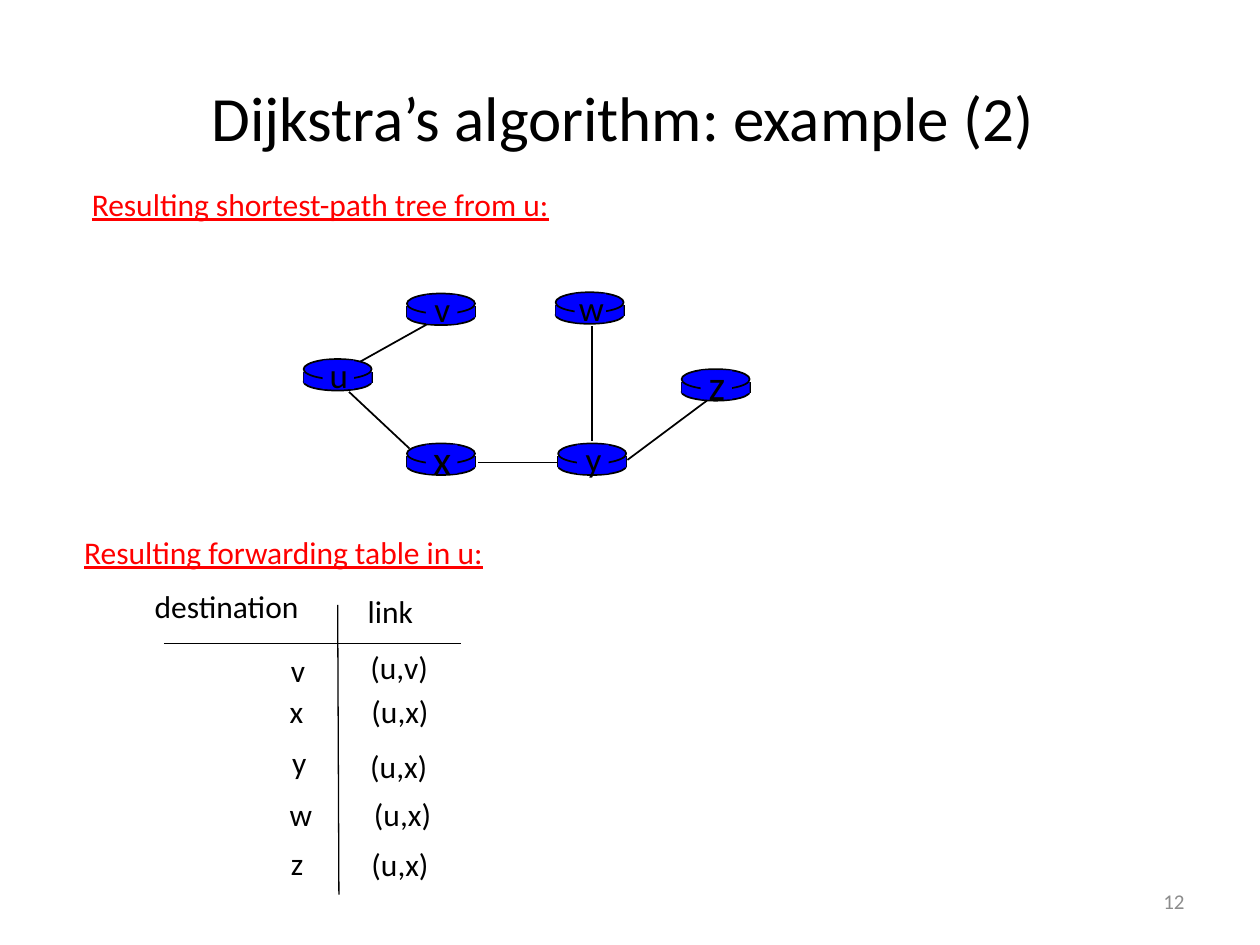
from lxml.etree import SubElement
from pptx import Presentation
from pptx.dml.color import RGBColor
from pptx.enum.shapes import MSO_CONNECTOR as Connector, MSO_SHAPE as Shape
from pptx.enum.text import MSO_ANCHOR as Anchor, MSO_AUTO_SIZE as AutoSize, PP_ALIGN as Align
from pptx.oxml.ns import qn
from pptx.util import Inches, Pt

COLORS = {"text": "000000", "heading": "FF0000", "router": "0000FF", "number": "8C8C8C"}
FONT = "Calibri"
ROUTER_WIDTH = 0.54
LABEL_HEIGHTS = {20: 0.43, 24: 0.5}

EDGES = [
    (2.86, 2.87, 3.45, 2.54),
    (4.7, 2.59, 4.7, 3.5),
    (4.98, 3.65, 5.61, 3.18),
    (4.43, 3.67, 3.79, 3.67),
    (3.25, 3.56, 2.77, 3.11),
]
ROUTERS = [
    ("u", 2.41, 2.95, 0.35, 20),
    ("x", 3.23, 3.62, 0.4, 24),
    ("v", 3.23, 2.43, 0.34, 20),
    ("w", 4.41, 2.42, 0.39, 20),
    ("y", 4.43, 3.62, 0.35, 20),
    ("z", 5.41, 3.03, 0.38, 24),
]
TABLE_LINES = [(2.68, 4.8, 2.69, 7.1), (1.3, 5.11, 3.66, 5.11)]
TABLE_CELLS = [
    ("destination", 1.13, 4.61, 1.5), ("link", 2.82, 4.65, 0.6),
    ("v", 2.21, 5.12, 0.32), ("(u,v)", 2.84, 5.09, 0.71),
    ("x", 2.2, 5.44, 0.35), ("(u,x)", 2.85, 5.44, 0.73),
    ("y", 2.22, 5.85, 0.33), ("(u,x)", 2.84, 5.88, 0.73),
    ("w", 2.2, 6.26, 0.37), ("(u,x)", 2.87, 6.26, 0.73),
    ("z", 2.21, 6.65, 0.34), ("(u,x)", 2.85, 6.66, 0.73),
]
HEADINGS = [
    ("Resulting shortest-path tree from u:", 0.63, 1.42, 4.49),
    ("Resulting forwarding table in u:", 0.57, 4.18, 3.84),
]


def color(name):
    """Return the named colour."""
    return RGBColor.from_string(COLORS[name])


def set_text(shape, text, size, color_name, align, underline=None):
    """Put one formatted line of text in a shape."""
    shape.text_frame.text = text
    paragraph = shape.text_frame.paragraphs[0]
    paragraph.alignment = align
    font = paragraph.runs[0].font
    font.name, font.size, font.underline = FONT, Pt(size), underline
    font.color.rgb = color(color_name)


def add_text(slide, text, left, top, width, height=0.4, size=18,
             color_name="text", align=Align.LEFT, underline=None):
    """Add an unwrapped text box that fits its text."""
    box = slide.shapes.add_textbox(*map(Inches, (left, top, width, height)))
    box.text_frame.word_wrap = False
    box.text_frame.auto_size = AutoSize.SHAPE_TO_FIT_TEXT
    set_text(box, text, size, color_name, align, underline)
    return box


def add_line(slide, points, width=1):
    """Add a black straight line without shadow."""
    line = slide.shapes.add_connector(Connector.STRAIGHT, *map(Inches, points))
    line.line.color.rgb = color("text")
    line.line.width = Pt(width)
    SubElement(line._element.spPr, qn("a:effectLst"))


def add_solid(slide, kind, left, top, width, height, outlined=False):
    """Add a router part, outlined in black if asked."""
    shape = slide.shapes.add_shape(kind, *map(Inches, (left, top, width, height)))
    shape.shadow.inherit = False
    shape.fill.solid()
    shape.fill.fore_color.rgb = color("router")
    if outlined:
        shape.line.color.rgb = color("text")
        shape.line.width = Pt(1)
    else:
        shape.line.fill.background()


def add_router(slide, left, top):
    """Add a router as a flat cylinder."""
    add_solid(slide, Shape.OVAL, left, top + 0.01, ROUTER_WIDTH, 0.14, outlined=True)
    for side in (left, left + ROUTER_WIDTH):
        add_line(slide, (side, top, side, top + 0.09))
    add_solid(slide, Shape.RECTANGLE, left, top, ROUTER_WIDTH, 0.09)
    add_solid(slide, Shape.OVAL, left, top - 0.1, ROUTER_WIDTH, 0.16, outlined=True)


def add_router_label(slide, name, left, top, width, size):
    """Add the name of a router on a plain patch."""
    height = LABEL_HEIGHTS[size]
    add_solid(slide, Shape.RECTANGLE, left + 0.15, top - 0.09, 0.25, 0.23)
    add_text(slide, name, left + 0.28 - width / 2, top + 0.02 - height / 2,
             width, height, size, align=Align.CENTER)


def add_title(slide, text):
    """Place and format the title."""
    title = slide.shapes.title
    title.left, title.top, title.width, title.height = map(Inches, (0.5, 0.3, 9, 1.25))
    title.text_frame.vertical_anchor = Anchor.MIDDLE
    set_text(title, text, 36, "text", Align.CENTER)


def add_slide_number(slide, number):
    """Add the slide number at the bottom right."""
    box = add_text(slide, number, 7.17, 6.95, 2.33, size=12,
                   color_name="number", align=Align.RIGHT)
    box.text_frame.word_wrap = True
    box.text_frame.auto_size = AutoSize.NONE
    box.text_frame.vertical_anchor = Anchor.MIDDLE


def main():
    """Build the slide and save it."""
    presentation = Presentation()
    presentation.slide_width, presentation.slide_height = Inches(10), Inches(7.5)
    slide = presentation.slides.add_slide(presentation.slide_layouts[5])
    add_title(slide, "Dijkstra’s algorithm: example (2) ")
    add_slide_number(slide, "12")
    for edge in EDGES:
        add_line(slide, edge)
    for name, left, top, width, size in ROUTERS:
        add_router(slide, left, top)
        add_router_label(slide, name, left, top, width, size)
    for points in TABLE_LINES:
        add_line(slide, points, 0.75)
    for cell in TABLE_CELLS:
        add_text(slide, *cell)
    for heading in HEADINGS:
        add_text(slide, *heading, color_name="heading", underline=True)
    presentation.save("out.pptx")


if __name__ == "__main__":
    main()
